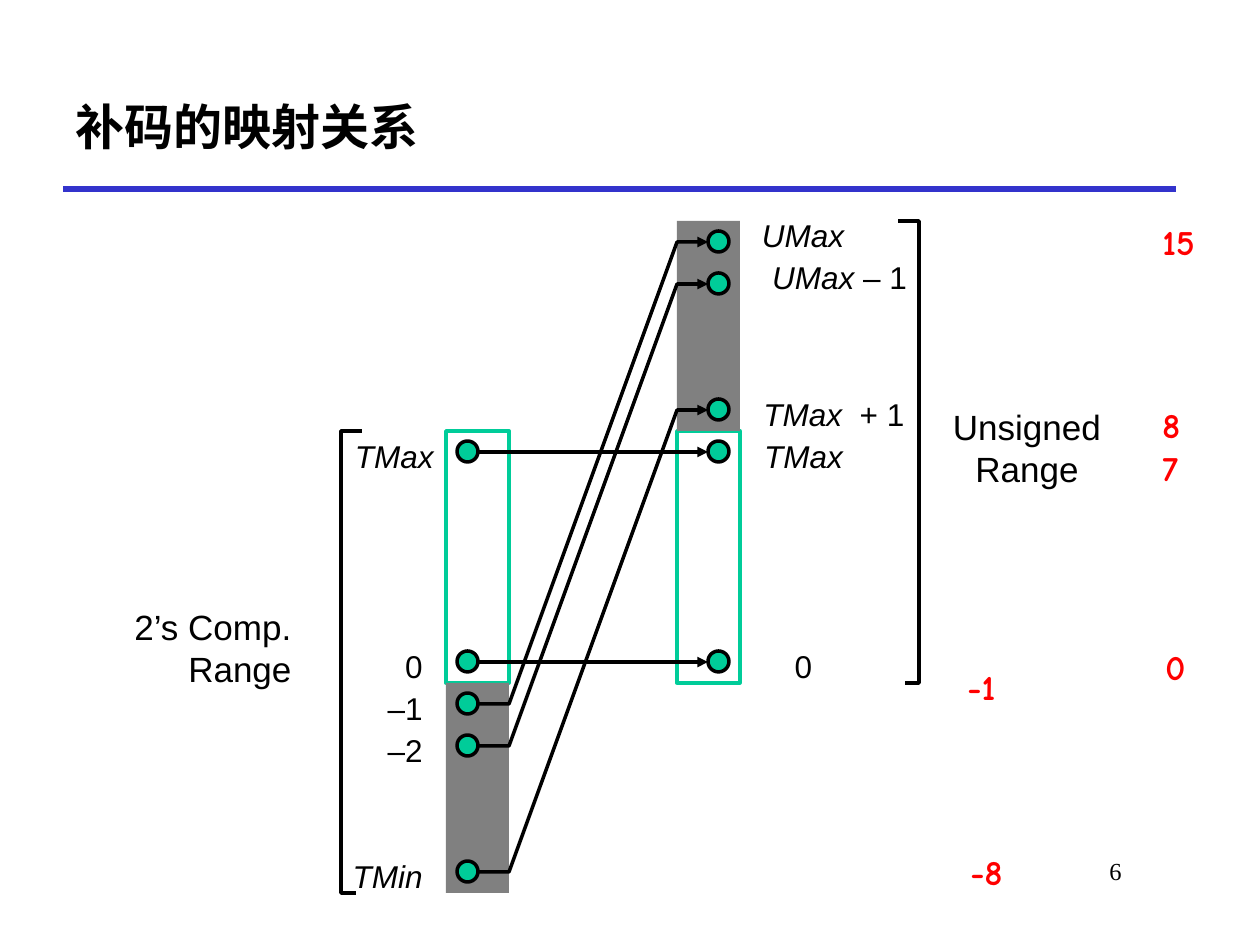
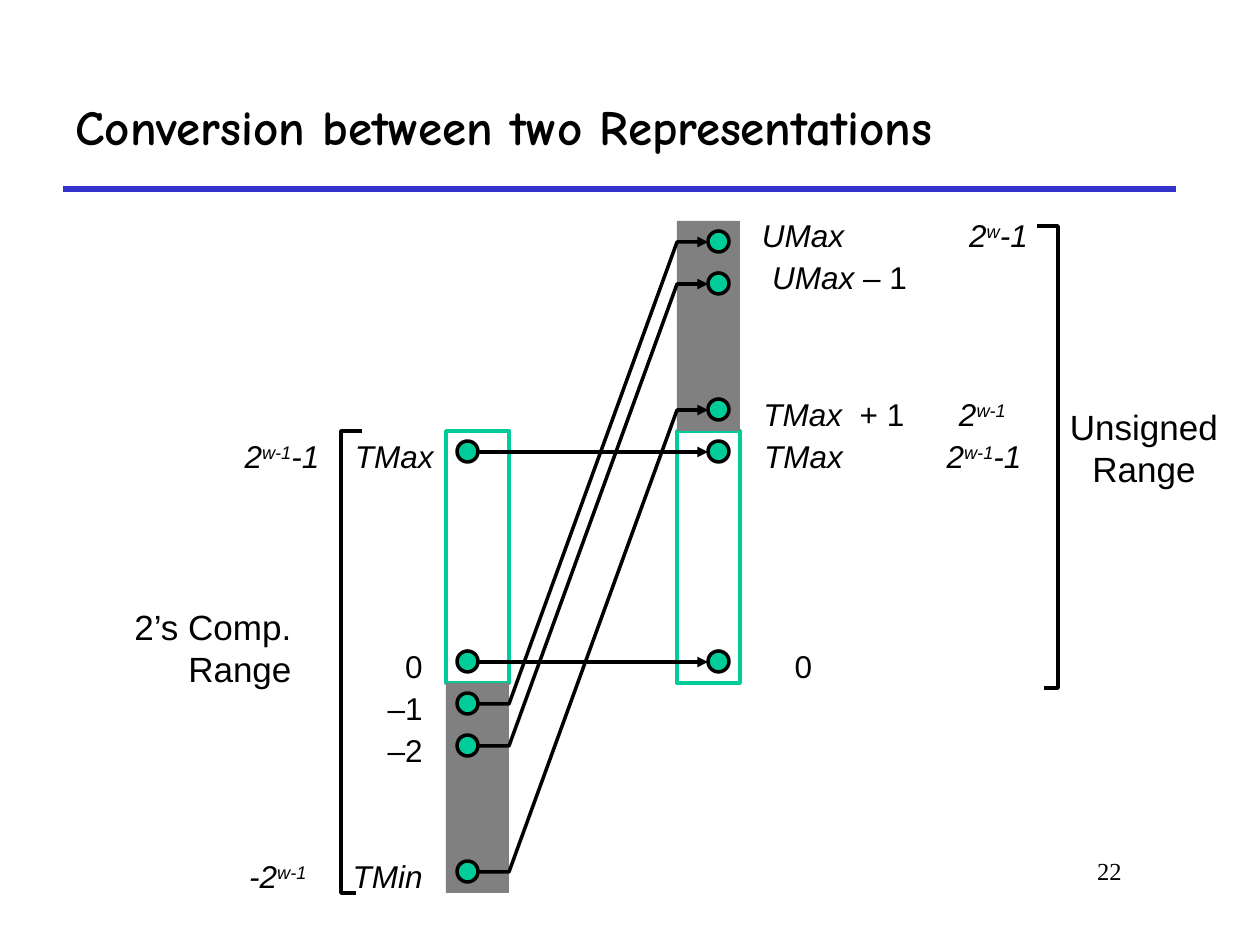
from lxml import etree
from pptx import Presentation
from pptx import util as u
from pptx.dml.color import RGBColor
from pptx.enum import shapes, text
from pptx.oxml.ns import qn

PX = 914400 / 126  # EMU in one px

BLACK = RGBColor(0, 0, 0)
WHITE = RGBColor(255, 255, 255)
BLUE = RGBColor(0x33, 0x33, 0xCC)
GREEN = RGBColor(0x00, 0xCC, 0x99)
GRAY = RGBColor(0x80, 0x80, 0x80)
RED = RGBColor(255, 0, 0)

SANS, COMIC, SERIF = "Arial", "Comic Neue", "Times New Roman"
LEFT, MID, RIGHT = text.PP_ALIGN.LEFT, text.PP_ALIGN.CENTER, text.PP_ALIGN.RIGHT

# The two bars and the rows of values that they share
BAR_L, BAR_R, BAR_W = 446, 677, 63
DOT_L, DOT_R, DOT = 457, 708, 21
SPAN = 462  # height of a bracket


def px(*vals):
    return [u.Emu(round(v * PX)) for v in vals]


def row(step):
    return 242 + 42 * step


# Text
def style(run, size, font, color, bold=False, mark=""):
    """Format a run; in mark, i is italic and ^ is superscript."""
    f = run.font
    f.size, f.name, f.bold = u.Pt(size), font, bold
    f.italic = "i" in mark
    f.color.rgb = color
    if "^" in mark:
        run._r.get_or_add_rPr().set("baseline", "30000")


def label(slide, box, lines, align=MID, size=18, font=SANS, color=BLACK,
          bold=False, wrap=False):
    """Write lines, each a list of (words, mark) runs, in a text box."""
    frame = slide.shapes.add_textbox(*px(*box)).text_frame
    frame.word_wrap = wrap
    for n, runs in enumerate(lines):
        para = frame.add_paragraph() if n else frame.paragraphs[0]
        para.alignment = align
        for words, mark in runs:
            run = para.add_run()
            run.text = words
            style(run, size, font, color, bold, mark)


def tag(slide, x, step, wide, runs, align=MID, drop=21, wrap=False):
    label(slide, (x, row(step) - drop, wide, 50), [runs], align, wrap=wrap)


def span_name(slide, x, y, wide, first, align):
    label(slide, (x, y, wide, 97), [[(first, "")], [("Range", "")]], align, 20)


# Shapes and lines
def shape(slide, kind, box, fill, line=None):
    item = slide.shapes.add_shape(kind, *px(*box))
    item.shadow.inherit = False
    item.fill.solid()
    item.fill.fore_color.rgb = fill
    if line is None:
        item.line.fill.background()
    else:
        ink(item, line)


def ink(item, color, width=2, head=False):
    item.line.color.rgb = color
    item.line.width = u.Pt(width)
    if head:
        ln = item._element.spPr.find(qn("a:ln"))
        etree.SubElement(ln, qn("a:tailEnd"), type="triangle")


def line(slide, ends, color, width=2, head=False):
    item = slide.shapes.add_connector(shapes.MSO_CONNECTOR.STRAIGHT, *px(*ends))
    ink(item, color, width, head)
    etree.SubElement(item._element.spPr, qn("a:effectLst"))


def bend(slide, points, head=False):
    pen = slide.shapes.build_freeform(*points[0], scale=PX)
    pen.add_line_segments(points[1:], close=False)
    item = pen.convert_to_shape()
    item.shadow.inherit = False
    item.fill.background()
    ink(item, BLACK, head=head)


def bracket(slide, x, top, low, high):
    """Draw a spine at x with hooks of length low and high."""
    end = top + SPAN
    bend(slide, [(x + low, end), (x, end), (x, top), (x + high, top)])


# Parts of a slide
def base(deck, title, page):
    slide = deck.slides.add_slide(deck.slide_layouts[5])
    line(slide, (63, 189, 1176, 189), BLUE, 3)
    label(slide, (955, 850, 179, 63), [[(page, "")]], RIGHT, 14, SERIF, wrap=True)
    head = slide.shapes.title
    head.left, head.top, head.width, head.height = px(63, 63, 1113, 126)
    frame = head.text_frame
    frame.vertical_anchor = text.MSO_ANCHOR.MIDDLE
    para = frame.paragraphs[0]
    para.alignment = LEFT
    run = para.add_run()
    run.text = title
    style(run, 28, COMIC, BLACK, True)
    return slide


def bars(slide):
    rect = shapes.MSO_SHAPE.RECTANGLE
    for x in (BAR_R, BAR_L):
        shape(slide, rect, (x, 431, BAR_W, 252), WHITE, GREEN)
    for x, y in ((BAR_L, 683), (BAR_R, 221)):
        shape(slide, rect, (x, y, BAR_W, 210), GRAY)


def links(slide):
    """Join each signed row to its unsigned row."""
    start = DOT_L + DOT
    for a, b in ((10, 10), (5, 5), (11, 0), (12, 1), (15, 4)):
        for x, step in ((DOT_L, a), (DOT_R, b)):
            shape(slide, shapes.MSO_SHAPE.OVAL, (x, row(step) - 11, DOT, DOT),
                  GREEN, BLACK)
        if a == b:
            line(slide, (start, row(a), DOT_R, row(b)), BLACK, head=True)
        else:
            bend(slide, [(start, row(a)), (BAR_L + BAR_W, row(a)),
                         (BAR_R, row(b)), (DOT_R, row(b))], head=True)


def names(slide):
    # Signed side
    for words, step in (("0", 10), ("–1", 11), ("–2", 12)):
        tag(slide, 330, step, 105, [(words, "")], RIGHT, wrap=True)
    tag(slide, 341, 5, 105, [("TMax", "i")], RIGHT)
    tag(slide, 339, 15, 96, [("TMin", "i")], RIGHT)
    # Unsigned side
    tag(slide, 740, 0, 126, [("UMax", "i")], drop=32, wrap=True)
    tag(slide, 740, 1, 199, [("UMax", "i"), (" – 1", "")], drop=32, wrap=True)
    tag(slide, 751, 4, 166, [("TMax  ", "i"), ("+ 1", "")])
    tag(slide, 751, 5, 105, [("TMax", "i")])
    tag(slide, 751, 10, 105, [("0", "")], wrap=True)


def chart(slide, spine, top, name_x):
    """Draw the mapping; the unsigned bracket and its name vary."""
    bars(slide)
    links(slide)
    names(slide)
    span_name(slide, 121, 599, 183, "2’s Comp.", RIGHT)
    bracket(slide, 341, 431, 15, 21)
    bracket(slide, spine, top, -14, -21)
    span_name(slide, name_x, 399, 174, "Unsigned", MID)


def main():
    deck = Presentation()
    deck.slide_width, deck.slide_height = px(1260, 945)

    # Mapping with four-bit values
    slide = base(deck, "补码的映射关系", "6")
    chart(slide, 919, 221, 940)
    for words, x, y, wide in (("0", 1153, 639, 47), ("7", 1150, 440, 47),
                              ("8", 1150, 397, 47), ("15", 1150, 214, 63),
                              ("-1", 955, 659, 57), ("-8", 958, 844, 62)):
        label(slide, (x, y, wide, 55), [[(words, "")]], LEFT, 20, COMIC, RED, True)

    # Mapping with w-bit values
    slide = base(deck, "Conversion between two Representations", "22")
    chart(slide, 1058, 226, 1057)
    for x, step, wide, drop, num, power, rest in (
            (931, 5, 106, 21, "2", "w-1", "-1"),
            (955, 0, 87, 32, "2", "w", "-1"),
            (234, 15, 88, 21, "-2", "w-1", ""),
            (229, 5, 106, 21, "2", "w-1", "-1"),
            (944, 4, 77, 21, "2", "w-1", "")):
        runs = [(num, "i"), (power, "i^")]
        if rest:
            runs.append((rest, "i"))
        tag(slide, x, step, wide, runs, drop=drop)

    deck.save("out.pptx")


if __name__ == "__main__":
    main()
